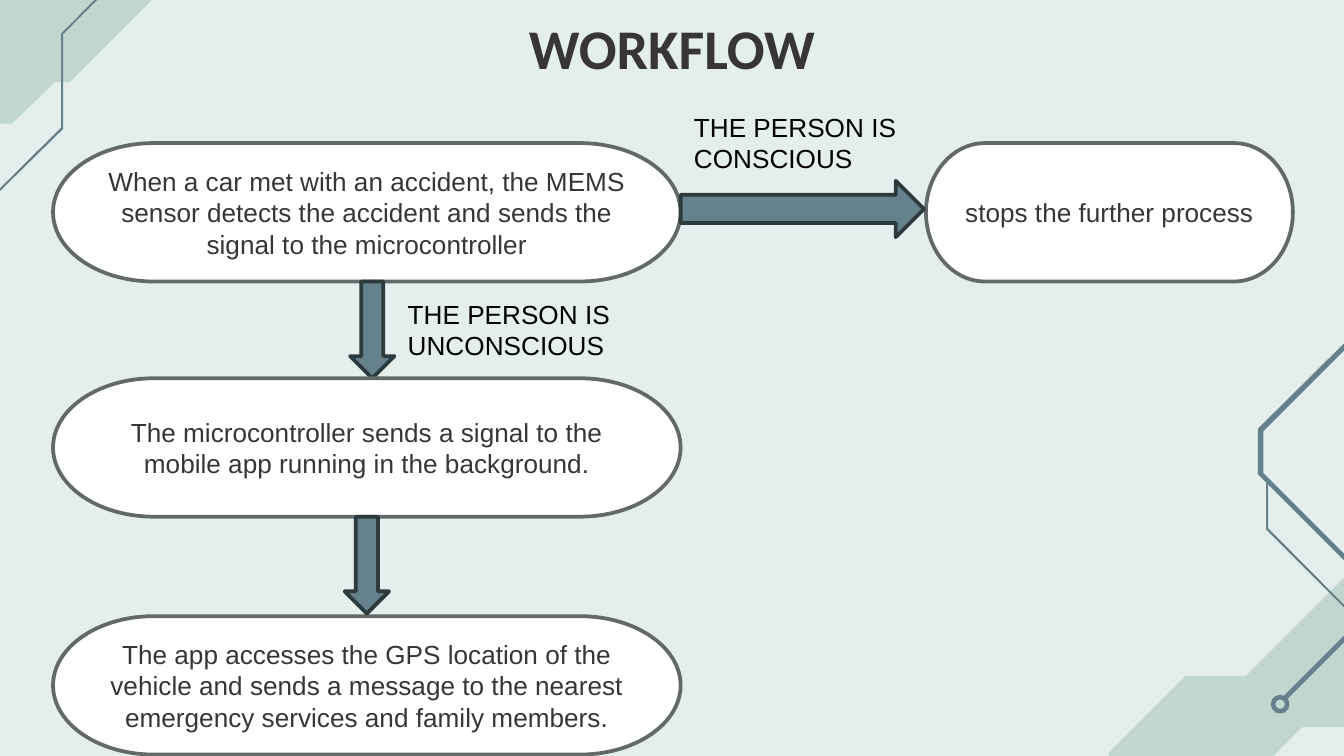
from dataclasses import dataclass

from pptx import Presentation
from pptx.dml.color import RGBColor
from pptx.enum.shapes import MSO_SHAPE
from pptx.enum.text import MSO_ANCHOR, PP_ALIGN
from pptx.util import Pt

TERMINATOR = MSO_SHAPE.FLOWCHART_TERMINATOR
RIGHT_ARROW, DOWN_ARROW = MSO_SHAPE.RIGHT_ARROW, MSO_SHAPE.DOWN_ARROW
DONUT = MSO_SHAPE.DONUT
CENTER, LEFT = PP_ALIGN.CENTER, PP_ALIGN.LEFT
TOP, MIDDLE = MSO_ANCHOR.TOP, MSO_ANCHOR.MIDDLE

SCALE = 4572  # EMU per px, 200 px to the inch


@dataclass(frozen=True)
class Theme:
    background: str = "E3EEED"
    pale: str = "C1D6CE"
    accent: str = "64818C"
    arrow_line: str = "2C393D"
    box: str = "FFFFFF"
    box_line: str = "636868"
    ink: str = "383536"
    label: str = "000000"
    title_font: str = "Calibri"
    body_font: str = "Arial"
    title_size: int = 30
    body_size: int = 14
    line_width: int = 2


THEME = Theme()

# Corner decoration, back to front: colour and outline
ORNAMENTS = [
    (THEME.pale, [(238, -144), (130, -36), (32, -36), (-188, 184), (18, 184),
                  (82, 122), (104, 122), (370, -144)]),
    (THEME.accent, [(242, -102), (91, 50), (91, 190), (-24, 304), (-22, 306),
                    (94, 192), (94, 51), (244, -100)]),
    (THEME.pale, [(2054, 806), (1854, 1006), (1764, 1006), (1650, 1120),
                  (1650, 1172), (1578, 1244), (1774, 1244), (1938, 1082),
                  (1998, 1082), (2116, 964), (2116, 932), (2242, 806)]),
    (THEME.accent, [(2436, 230), (2242, 424), (2086, 424), (2086, 426),
                    (1872, 638), (1872, 706), (2002, 836), (2002, 944),
                    (1906, 1040), (1912, 1044), (2010, 946), (2010, 834),
                    (1880, 704), (1880, 642), (2090, 432), (2244, 432),
                    (2246, 430), (2442, 236)]),
    (THEME.accent, [(1884, 714), (1884, 788), (2004, 908), (2006, 906),
                    (1887, 786), (1887, 714)]),
]

# Flowchart grid
BOX_LEFT, BOX_WIDTH, BOX_HEIGHT = 79, 934, 206
ROWS = (213, 563, 917)


def px(n):
    return n * SCALE


def rgb(color):
    return RGBColor.from_string(color)


def paint(shape, fill, line=None):
    shape.shadow.inherit = False
    shape.fill.solid()
    shape.fill.fore_color.rgb = rgb(fill)
    if line:
        shape.line.color.rgb = rgb(line)
        shape.line.width = Pt(THEME.line_width)
    else:
        shape.line.fill.background()


def write(shape, text, color, size=THEME.body_size, font=THEME.body_font,
          align=LEFT, anchor=TOP, bold=False):
    tf = shape.text_frame
    tf.word_wrap = True
    tf.vertical_anchor = anchor
    tf.text = text
    p = tf.paragraphs[0]
    p.alignment = align
    f = p.runs[0].font
    f.name, f.size, f.bold = font, Pt(size), bold
    f.color.rgb = rgb(color)


def add_preset(s, kind, x, y, w, h, fill, line=None):
    sp = s.shapes.add_shape(kind, px(x), px(y), px(w), px(h))
    paint(sp, fill, line)
    return sp


def add_ornament(s, color, points):
    builder = s.shapes.build_freeform(*points[0], scale=SCALE)
    builder.add_line_segments(points[1:], close=True)
    paint(builder.convert_to_shape(), color)


def add_box(s, y, text, x=BOX_LEFT, w=BOX_WIDTH):
    sp = add_preset(s, TERMINATOR, x, y, w, BOX_HEIGHT, THEME.box, THEME.box_line)
    write(sp, text, THEME.ink, align=CENTER, anchor=MIDDLE)


def add_arrow(s, kind, x, y, w, h):
    add_preset(s, kind, x, y, w, h, THEME.accent, THEME.arrow_line)


def add_down_arrow(s, x, row):
    add_arrow(s, DOWN_ARROW, x, row + BOX_HEIGHT, 66, 144)


def add_text(s, x, y, w, h, text, color, **style):
    tb = s.shapes.add_textbox(px(x), px(y), px(w), px(h))
    write(tb, text, color, **style)
    return tb


def add_title(s, text):
    tb = add_text(s, 157, 0, 1686, 130, text, THEME.ink, size=THEME.title_size,
                  font=THEME.title_font, align=CENTER, bold=True)
    tb.text_frame.margin_top = tb.text_frame.margin_bottom = px(20)


def main():
    prs = Presentation()
    prs.slide_width, prs.slide_height = px(2000), px(1125)
    s = prs.slides.add_slide(prs.slide_layouts[6])
    s.background.fill.solid()
    s.background.fill.fore_color.rgb = rgb(THEME.background)

    # Corner decoration
    for color, points in ORNAMENTS:
        add_ornament(s, color, points)
    add_preset(s, DONUT, 1891, 1034, 28, 28, THEME.accent)

    add_title(s, "WORKFLOW")
    detect, signal, notify = ROWS

    # Detection and the conscious branch
    add_box(s, detect, "When a car met with an accident, the MEMS sensor detects "
                       "the accident and sends the signal to the microcontroller")
    add_box(s, detect, "stops the further process", x=1378, w=546)
    add_arrow(s, RIGHT_ARROW, 1013, 269, 362, 84)
    add_text(s, 1013, 156, 394, 114, "THE PERSON IS CONSCIOUS", THEME.label)

    # Unconscious branch
    add_down_arrow(s, 521, detect)
    add_box(s, signal, "The microcontroller sends a signal to the mobile app "
                       "running in the background.")
    add_text(s, 587, 434, 530, 114, "THE PERSON IS UNCONSCIOUS", THEME.label)
    add_box(s, notify, "The app accesses the GPS location of the vehicle and sends "
                       "a message to the nearest emergency services and family "
                       "members.")
    add_down_arrow(s, 513, signal)

    prs.save("out.pptx")


if __name__ == "__main__":
    main()
